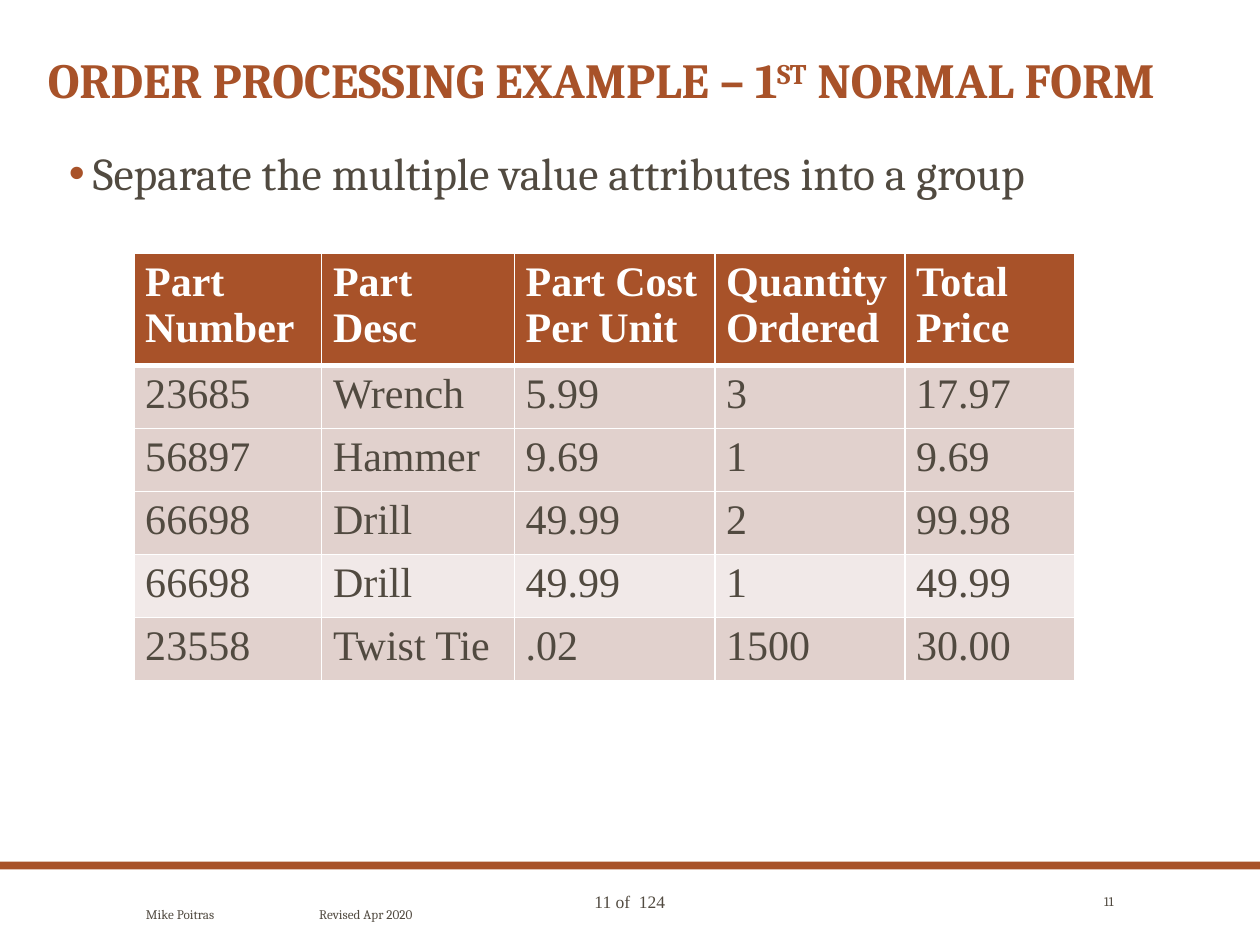
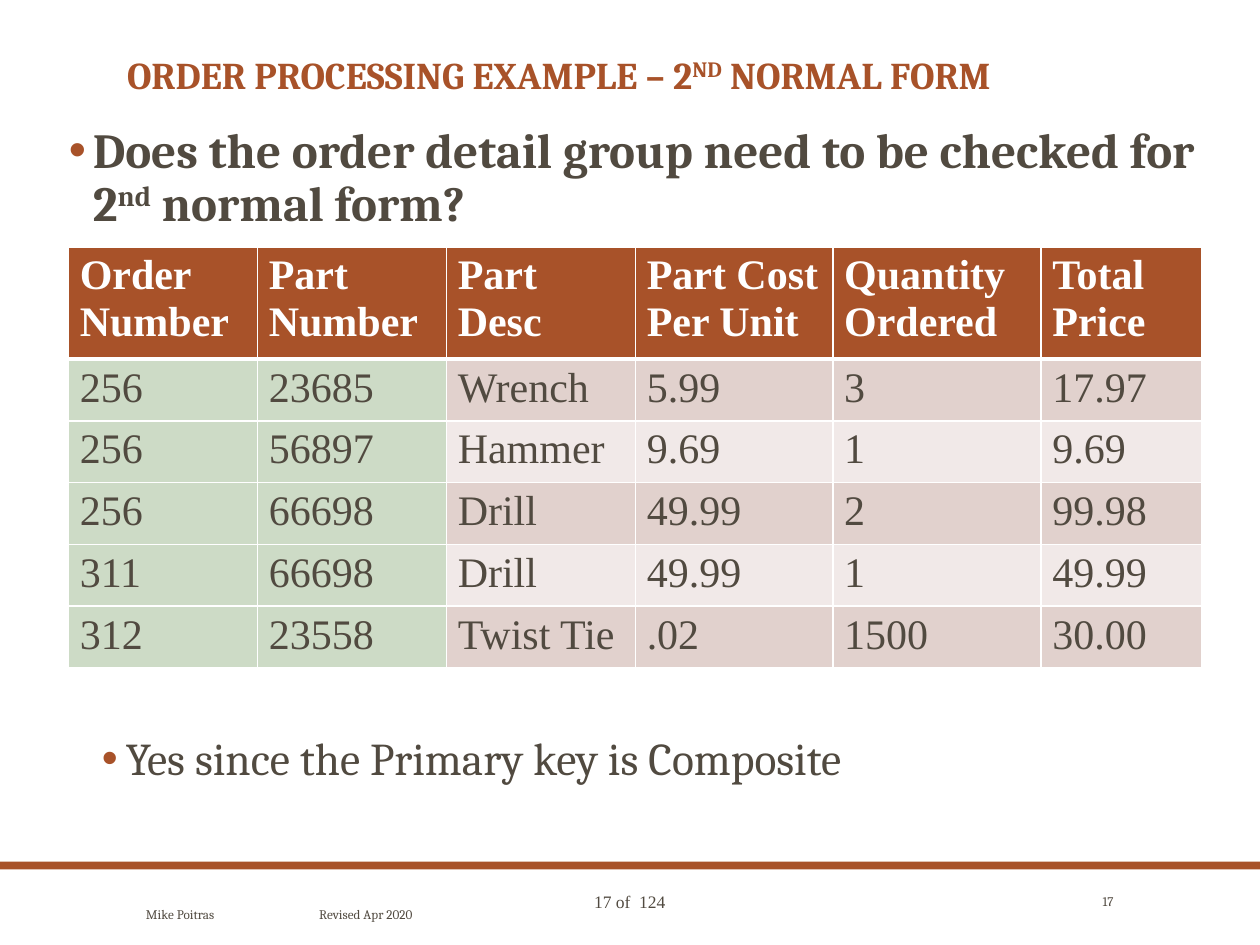
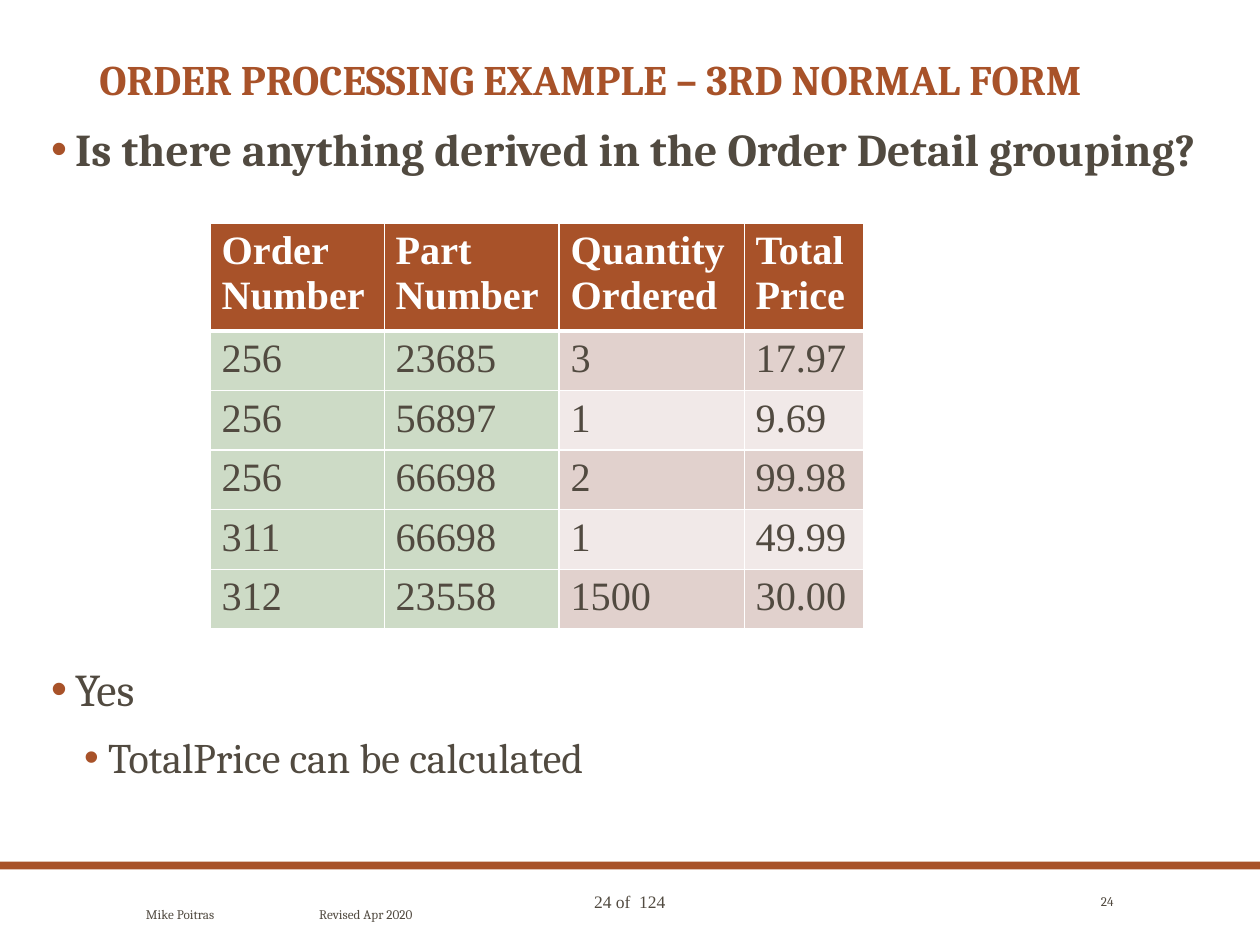
from pptx import Presentation
from pptx.dml.color import RGBColor
from pptx.enum.shapes import MSO_SHAPE
from pptx.enum.text import MSO_ANCHOR, PP_ALIGN
from pptx.oxml.ns import qn
from pptx.util import Pt
from lxml import etree

RECTANGLE = MSO_SHAPE.RECTANGLE
TOP, MIDDLE = MSO_ANCHOR.TOP, MSO_ANCHOR.MIDDLE
LEFT, CENTER, RIGHT = PP_ALIGN.LEFT, PP_ALIGN.CENTER, PP_ALIGN.RIGHT

# Shared style
RUST, INK, WHITE = "A85229", "514A40", "FFFFFF"
ROW_DARK, ROW_LIGHT, KEY_GREEN = "E1D1CD", "F1E9E8", "CDDBC6"
SERIF, TABLE_FONT = "Cambria", "Times New Roman"
LAST_PAGE = 124

# Order data: each slide shows some of these columns
HEADINGS = ["Order\nNumber", "Part Number", "Part Desc",
            "Part Cost Per Unit", "Quantity Ordered", "Total Price"]
ORDER_LINES = [
    ["256", "23685", "Wrench", "5.99", "3", "17.97"],
    ["256", "56897", "Hammer", "9.69", "1", "9.69"],
    ["256", "66698", "Drill", "49.99", "2", "99.98"],
    ["311", "66698", "Drill", "49.99", "1", "49.99"],
    ["312", "23558", "Twist Tie", ".02", "1500", "30.00"],
]
KEY_COLUMNS = (0, 1)


def rgb(hex_color):
    return RGBColor.from_string(hex_color)


def child(parent, tag, **attributes):
    element = etree.SubElement(parent, qn(tag))
    for key, value in attributes.items():
        element.set(key, str(value))
    return element


class Deck:
    def __init__(self):
        self.prs = Presentation()
        self.prs.slide_width, self.prs.slide_height = Pt(720), Pt(540)
        self.slide = None

    def new_slide(self, page):
        self.slide = self.prs.slides.add_slide(self.prs.slide_layouts[6])
        self.band(0, 492.3, 720, 4.5)
        page_count = self.text_frame(253.4, 505.4, 213, 19.4)
        self.line(page_count, [f"{page} of  {LAST_PAGE}"], 10,
                  font=TABLE_FONT, align=CENTER)
        credit = self.text_frame(76.3, 505.4, 567.4, 34.6, MIDDLE)
        paragraph = self.line(credit, ["Mike Poitras\tRevised Apr 2020"], 7.5)
        tabs = child(paragraph._p.get_or_add_pPr(), "a:tabLst")
        child(tabs, "a:tab", pos=Pt(99), algn="l")
        number = self.text_frame(602, 505.4, 41.4, 18.7, MIDDLE)
        self.line(number, [str(page)], 7.5, align=RIGHT)

    def band(self, left, top, width, height):
        shape = self.slide.shapes.add_shape(
            RECTANGLE, Pt(left), Pt(top), Pt(width), Pt(height))
        shape.shadow.inherit = False
        shape.fill.solid()
        shape.fill.fore_color.rgb = rgb(RUST)
        shape.line.fill.background()

    def text_frame(self, left, top, width, height, anchor=TOP):
        box = self.slide.shapes.add_textbox(
            Pt(left), Pt(top), Pt(width), Pt(height))
        box.text_frame.word_wrap = True
        box.text_frame.vertical_anchor = anchor
        return box.text_frame

    def line(self, frame, parts, size, color=INK, font=SERIF, bold=False,
             align=LEFT):
        """Add a paragraph; every second part is superscript."""
        paragraph = frame.paragraphs[0]
        if paragraph.runs:
            paragraph = frame.add_paragraph()
        paragraph.alignment = align
        for index, part in enumerate(parts):
            run = paragraph.add_run()
            run.text = part
            run.font.size, run.font.name, run.font.bold = Pt(size), font, bold
            run.font.color.rgb = rgb(color)
            if index % 2:
                run.font._element.set("baseline", "30000")
        return paragraph

    def title(self, left, top, width, parts, size):
        frame = self.text_frame(left, top, width, 39.6)
        self.line(frame, parts, size, RUST, bold=True).line_spacing = 0.9

    def bullet(self, frame, parts, size, level=0, bold=False, after=12):
        paragraph = self.line(frame, parts, size, bold=bold)
        paragraph.level = level
        paragraph.line_spacing = 0.9
        paragraph.space_after = Pt(after)
        properties = paragraph._p.get_or_add_pPr()
        properties.set("marL", str(Pt(16.5 + 18.8 * level)))
        properties.set("indent", str(Pt(-13.7)))
        child(child(properties, "a:buClr"), "a:srgbClr", val=RUST)
        child(properties, "a:buFont", typeface="Arial")
        child(properties, "a:buChar", char="•")

    def cell(self, cell, text, size, fill, heading):
        cell.margin_left = cell.margin_right = Pt(6.5)
        cell.margin_top = cell.margin_bottom = Pt(3.25)
        for part in text.split("\n"):
            self.line(cell.text_frame, [part], size, WHITE if heading else INK,
                      TABLE_FONT, heading)
        properties = cell._tc.get_or_add_tcPr()
        for side in ("L", "R", "T", "B"):
            weight = 3 if heading and side == "B" else 1
            border = child(properties, f"a:ln{side}", w=Pt(weight))
            child(child(border, "a:solidFill"), "a:srgbClr", val=WHITE)
        cell.fill.solid()
        cell.fill.fore_color.rgb = rgb(fill)

    def order_table(self, left, top, columns, widths, header_height,
                    row_height, size, light_rows=(2, 4), mark_keys=True):
        rows = [HEADINGS] + ORDER_LINES
        heights = [header_height] + [row_height] * len(ORDER_LINES)
        table = self.slide.shapes.add_table(
            len(rows), len(columns), Pt(left), Pt(top),
            Pt(sum(widths)), Pt(sum(heights))).table
        for column, width in zip(table.columns, widths):
            column.width = Pt(width)
        for r, (values, height) in enumerate(zip(rows, heights)):
            table.rows[r].height = Pt(height)
            for c, source in enumerate(columns):
                if r == 0:
                    fill = RUST
                elif mark_keys and source in KEY_COLUMNS:
                    fill = KEY_GREEN
                else:
                    fill = ROW_LIGHT if r in light_rows else ROW_DARK
                self.cell(table.cell(r, c), values[source], size, fill, r == 0)


def main():
    deck = Deck()

    # First normal form
    deck.new_slide(11)
    deck.title(20.2, 28.8, 684.7,
               ["ORDER PROCESSING EXAMPLE – 1", "ST", " NORMAL FORM"], 28)
    body = deck.text_frame(29.5, 82.8, 620.6, 136)
    deck.bullet(body, ["Separate the multiple value attributes into a group"], 26)
    deck.order_table(76.5, 144.7, [1, 2, 3, 4, 5],
                     [107.3, 110.1, 114.6, 108.6, 97.2], 64, 36, 24,
                     light_rows=(4,), mark_keys=False)

    # Second normal form
    deck.new_slide(17)
    deck.title(65.5, 28.8, 620.6,
               ["ORDER PROCESSING EXAMPLE – 2", "ND", " NORMAL FORM"], 21.6)
    body = deck.text_frame(29.5, 68.4, 671.8, 386)
    deck.bullet(body, ["Does the order detail group need to be checked for 2",
                       "nd", " normal form?"], 28, bold=True, after=288)
    deck.bullet(body, ["Yes since the Primary key is Composite"], 26,
                level=1, after=6)
    deck.order_table(39.1, 141.1, [0, 1, 2, 3, 4, 5],
                     [108, 108, 108, 112.8, 119, 92], 60, 33.75, 24)

    # Third normal form
    deck.new_slide(24)
    deck.title(49.7, 30.2, 620.6,
               ["ORDER PROCESSING EXAMPLE – 3RD NORMAL FORM"], 24)
    body = deck.text_frame(19.4, 69.1, 691.2, 426.2)
    deck.bullet(body, ["Is there anything derived in the Order Detail grouping?"],
                26, bold=True, after=280.5)
    deck.bullet(body, ["Yes"], 26)
    deck.bullet(body, ["TotalPrice can be calculated"], 24, level=1, after=6)
    deck.order_table(120.2, 127.4, [0, 1, 4, 5],
                     [99.4, 100, 105.8, 68.2], 58, 32.75, 23)

    deck.prs.save("out.pptx")


if __name__ == "__main__":
    main()
